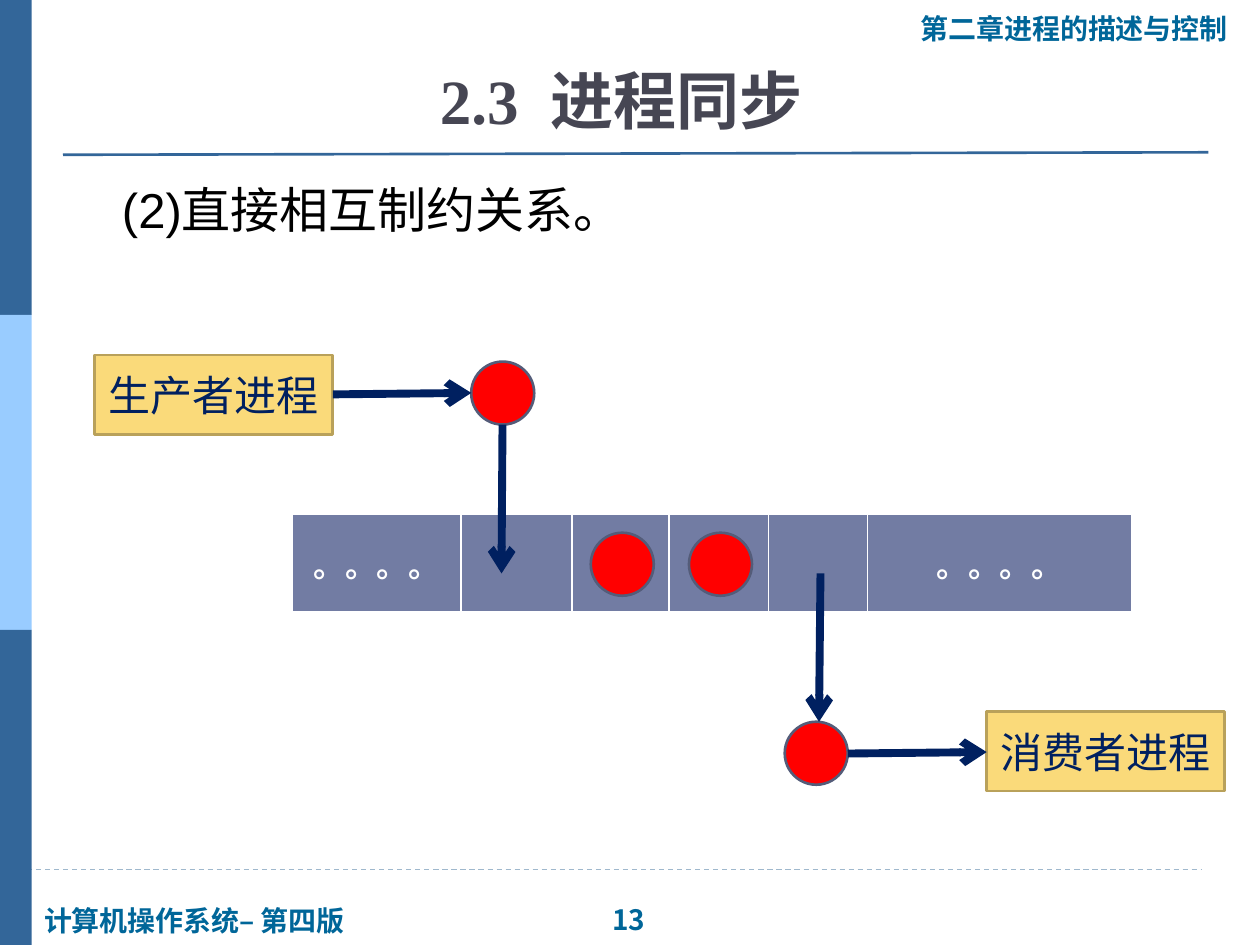
from lxml import etree
from pptx import Presentation
from pptx.dml.color import RGBColor
from pptx.enum.dml import MSO_LINE
from pptx.enum.shapes import MSO_CONNECTOR, MSO_SHAPE
from pptx.enum.text import MSO_ANCHOR, PP_ALIGN
from pptx.oxml import parse_xml
from pptx.oxml.ns import nsdecls, qn
from pptx.util import Cm, Pt

RECT, BALL = MSO_SHAPE.RECTANGLE, MSO_SHAPE.FLOWCHART_CONNECTOR
STRAIGHT, DASH = MSO_CONNECTOR.STRAIGHT, MSO_LINE.DASH
TOP, MIDDLE, BOTTOM = MSO_ANCHOR.TOP, MSO_ANCHOR.MIDDLE, MSO_ANCHOR.BOTTOM
LEFT, CENTER = PP_ALIGN.LEFT, PP_ALIGN.CENTER
CJK = "Noto Sans CJK SC"

COLORS = {
    "teal": "006699", "bar": "336699", "light_bar": "99CCFF", "dash": "9FB8CD",
    "title": "464653", "black": "000000", "white": "FFFFFF", "buffer": "727CA3",
    "red": "FF0000", "ball_edge": "545C79", "navy": "002060",
    "box": "FADA7A", "box_edge": "B9A15A",
}
RGB = {name: RGBColor.from_string(value) for name, value in COLORS.items()}

FOOTER = {"name": "Arial", "size": Pt(16), "bold": True}
PAGE = {**FOOTER, "name": "Noto Sans CJK JP"}
TITLE = {"name": "Times New Roman", "size": Pt(36), "bold": True}
BODY = {"name": "Arial", "size": Pt(28), "bold": False}
DOTS = {"name": "Calibri", "size": Pt(18), "bold": True}
PROCESS = {"name": "Calibri", "size": Pt(24), "bold": False}


def write(paragraph, text, font_format, color):
    """Add a run with its font format and East Asian font."""
    run = paragraph.add_run()
    run.text = text
    for key, value in font_format.items():
        setattr(run.font, key, value)
    run.font.color.rgb = RGB[color]
    east_asian = etree.SubElement(run.font._element, qn("a:ea"))
    east_asian.set("typeface", CJK)
    return run


def draw_line(x1, y1, x2, y2, color, width):
    """Add a straight line without shadow, lengths in cm."""
    line = slide.shapes.add_connector(STRAIGHT, Cm(x1), Cm(y1), Cm(x2), Cm(y2))
    line.line.color.rgb = RGB[color]
    line.line.width = Pt(width)
    etree.SubElement(line._element.spPr, qn("a:effectLst"))
    return line


prs = Presentation()
prs.slide_width, prs.slide_height = Cm(25.4), Cm(19.05)
slide = prs.slides.add_slide(prs.slide_layouts[6])

# Rules and side bars
draw_line(0, 17.53, 24.23, 17.53, "dash", 0.75).line.dash_style = DASH
for index, color in enumerate(["bar", "light_bar", "bar"]):
    side_bar = slide.shapes.add_shape(
        RECT, 0, Cm(6.35 * index), Cm(0.64), Cm(6.35))
    side_bar.shadow.inherit = False
    side_bar.fill.solid()
    side_bar.fill.fore_color.rgb = RGB[color]
    side_bar.line.fill.background()
draw_line(1.27, 3.12, 24.36, 3.07, "bar", 1.5)

# Header, footer, title and body text
texts = [
    (18.31, 0.1, 6.78, 0.94, ["第二章进程的描述与控制"], FOOTER, "teal", MIDDLE, LEFT, False),
    (0.64, 18.08, 6.73, 0.94, ["计算机操作系统– 第四版"], FOOTER, "teal", MIDDLE, LEFT, False),
    (12.09, 18.06, 1.37, 0.94, ["13"], PAGE, "teal", MIDDLE, LEFT, False),
    (1.09, 1.04, 22.86, 1.85, ["2.3", " ", "进程同步"], TITLE, "title", BOTTOM, CENTER, True),
    (2.21, 3.5, 21.77, 13.72, ["(2)直接相互制约关系。"], BODY, "black", TOP, LEFT, True),
]
for x, y, width, height, parts, font_format, color, anchor, align, wrap in texts:
    frame = slide.shapes.add_textbox(
        Cm(x), Cm(y), Cm(width), Cm(height)).text_frame
    frame.word_wrap = wrap
    frame.vertical_anchor = anchor
    frame.paragraphs[0].alignment = align
    for part in parts:
        run = write(frame.paragraphs[0], part, font_format, color)
        if part == " ":
            run.font._element.set("spc", "900")  # widens the gap after the number

# Shared buffer
slots = [3.4, 2.24, 1.96, 2, 2, 5.33]
buffer = slide.shapes.add_table(
    1, len(slots), Cm(5.89), Cm(10.36), Cm(sum(slots)), Cm(2)).table
buffer.first_row = buffer.horz_banding = False
buffer.rows[0].height = Cm(2)
for index, width in enumerate(slots):
    buffer.columns[index].width = Cm(width)
    slot = buffer.cell(0, index)
    slot.vertical_anchor = MIDDLE
    for side, points in {"L": 1, "R": 1, "T": 1, "B": 3}.items():
        slot._tc.get_or_add_tcPr().append(parse_xml(
            f'<a:ln{side} {nsdecls("a")} w="{Pt(points)}"><a:solidFill>'
            f'<a:srgbClr val="{COLORS["white"]}"/></a:solidFill></a:ln{side}>'))
    slot.fill.solid()
    slot.fill.fore_color.rgb = RGB["buffer"]
    if index in (0, len(slots) - 1):
        slot.text_frame.paragraphs[0].alignment = CENTER
        write(slot.text_frame.paragraphs[0], "。。。。", DOTS, "white")

# Products and processes
nodes = [(BALL, x, y, 1.27, 1.27, "red", "ball_edge", "") for x, y in
         [(11.91, 10.74), (13.89, 10.74), (15.82, 14.55), (9.5, 7.29)]]
nodes += [(RECT, x, y, 4.8, 1.6, "box", "box_edge", label) for x, y, label in
          [(1.91, 7.16, "生产者进程"), (19.89, 14.35, "消费者进程")]]
for kind, x, y, width, height, fill, edge, label in nodes:
    node = slide.shapes.add_shape(kind, Cm(x), Cm(y), Cm(width), Cm(height))
    node.shadow.inherit = False
    node.fill.solid()
    node.fill.fore_color.rgb = RGB[fill]
    node.line.color.rgb = RGB[edge]
    node.line.width = Pt(1.5)
    if label:
        node.text_frame.vertical_anchor = MIDDLE
        node.text_frame.paragraphs[0].alignment = CENTER
        write(node.text_frame.paragraphs[0], label, PROCESS, "navy")

# Flow arrows
for ends in [(10.13, 8.56, 10.11, 11.56), (16.54, 11.56, 16.51, 14.55),
             (6.71, 7.95, 9.5, 7.92), (17.09, 15.19, 19.89, 15.16)]:
    arrow = draw_line(*ends, "navy", 4.5)
    tail = etree.SubElement(arrow.line._get_or_add_ln(), qn("a:tailEnd"))
    tail.set("type", "arrow")

prs.save("out.pptx")
